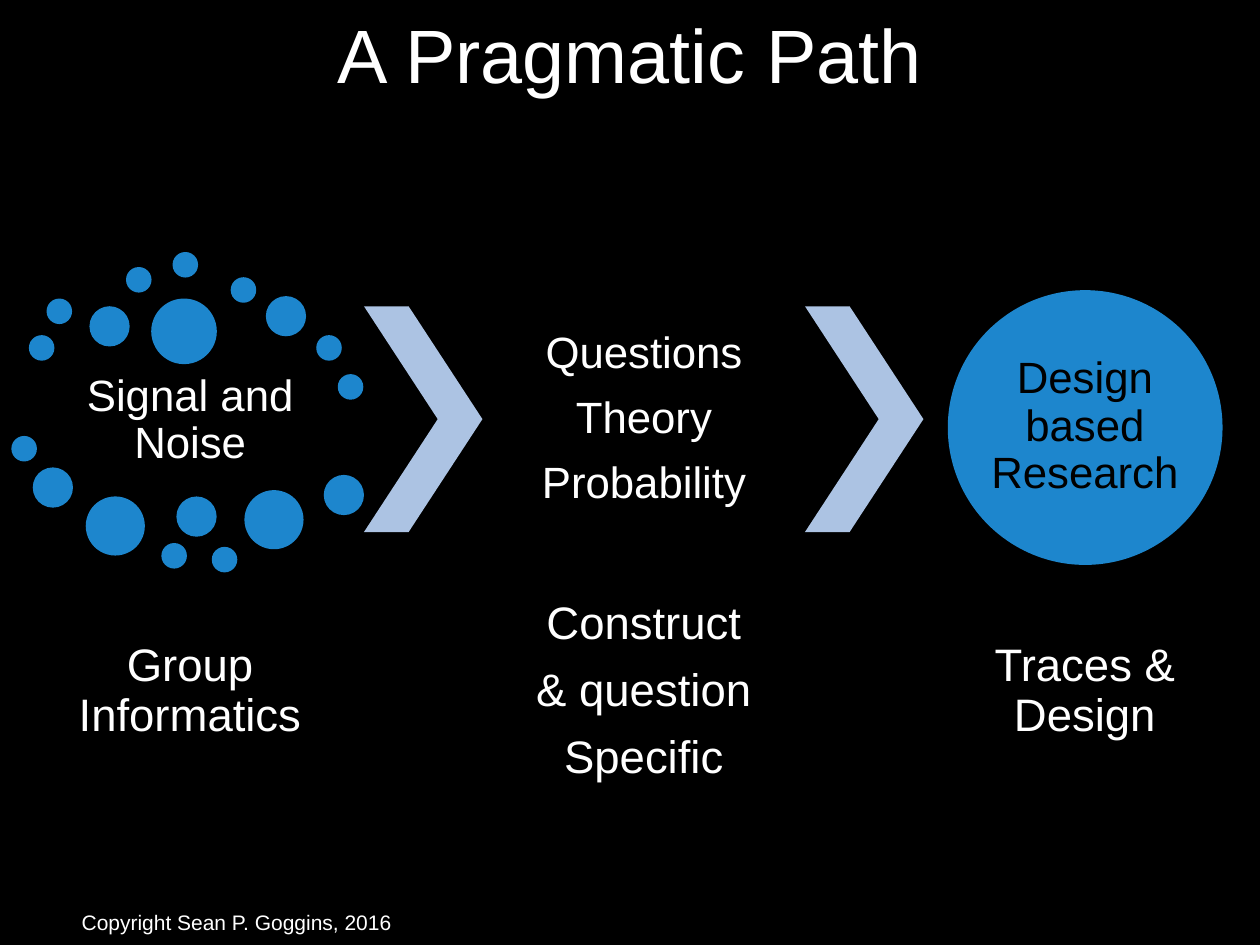
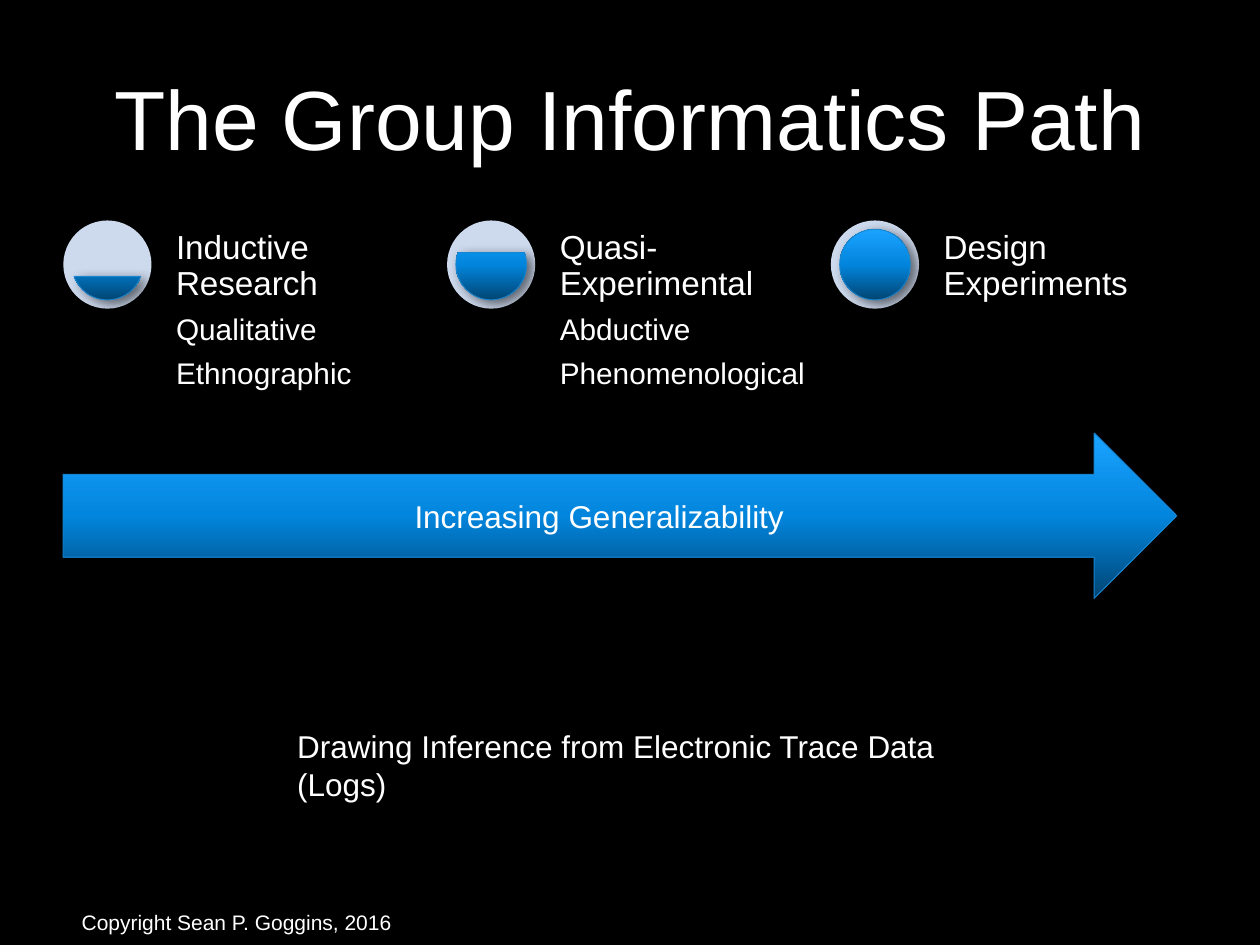
from copy import deepcopy
from math import asin, degrees

from lxml.etree import SubElement
from pptx import Presentation
from pptx.dml.color import RGBColor
from pptx.enum.shapes import MSO_SHAPE
from pptx.enum.text import MSO_ANCHOR, MSO_AUTO_SIZE, PP_ALIGN
from pptx.oxml.ns import qn
from pptx.util import Pt

rgb = RGBColor.from_string
BLACK, WHITE, BLUE = "000000", "FFFFFF", "1D86CD"
PALE_BLUE, PALE_DISC, ARROW_EDGE = "ACC3E3", "CDD9ED", "1884CD"
GRADIENT = [(0, "014573"), (0.5, "0285DD"), (1, "1AA3FF")]
SHADOW = {"blurRad": Pt(7), "dist": Pt(4), "dir": 35 * 60000, "algn": "tl", "rotWithShape": 0}
CENTER = {"alignment": PP_ALIGN.CENTER}
SPACED = {"line_spacing": 0.9}


def write(sp, lines, size, color=WHITE, para={}, anchor=MSO_ANCHOR.MIDDLE, inset=None):
    tf = sp.text_frame
    frame = {"word_wrap": True, "auto_size": MSO_AUTO_SIZE.NONE, "vertical_anchor": anchor}
    if inset is not None:
        frame.update({f"margin_{side}": Pt(inset) for side in ("left", "top", "right", "bottom")})
    for name, value in frame.items():
        setattr(tf, name, value)
    for i, line in enumerate(lines):
        p = tf.add_paragraph() if i else tf.paragraphs[0]
        for name, value in para.items():
            setattr(p, name, value)
        if "line_spacing" in para:
            p.space_after = Pt(round(size * 0.4, 1))
        r = p.add_run()
        r.text = line
        for name, value in {"name": "Arial", "size": Pt(size), "bold": False}.items():
            setattr(r.font, name, value)
        r.font.color.rgb = rgb(color)


def draw(s, kind, box, fill=None, line=None, shadow=False):
    sp = s.shapes.add_shape(kind, *map(Pt, box))
    sp.shadow.inherit = False
    if fill:
        sp.fill.solid()
        sp.fill.fore_color.rgb = rgb(fill)
    else:
        sp.fill.gradient()
        sp.fill.gradient_angle = 90
        stops = sp.element.spPr.find(qn("a:gradFill")).find(qn("a:gsLst"))
        stops.insert(1, deepcopy(stops[0]))
        for stop, (position, color) in zip(sp.fill.gradient_stops, GRADIENT):
            stop.position = position
            stop.color.rgb = rgb(color)
    if line:
        sp.line.color.rgb = rgb(line)
        sp.line.width = Pt(0.5)
    else:
        sp.line.fill.background()
    if shadow:
        effects = sp.element.spPr.find(qn("a:effectLst"))
        outer = SubElement(effects, qn("a:outerShdw"), {k: str(int(v)) if k != "algn" else v for k, v in SHADOW.items()})
        color = SubElement(outer, qn("a:srgbClr"), val=BLACK)
        SubElement(color, qn("a:alpha"), val="55000")
    return sp


prs = Presentation()
prs.slide_width, prs.slide_height = Pt(720), Pt(540)
fill = prs.slide_master.background.fill
fill.solid()
fill.fore_color.rgb = rgb(BLACK)

slides = []
for title, size, box in [
    ("A Pragmatic Path", 43.2, (54, 1.4, 612, 58.3)),
    ("The Group Informatics Path", 48, (36, 21.6, 648, 90)),
]:
    s = prs.slides.add_slide(prs.slide_layouts[5])
    sp = s.shapes.title
    for name, value in zip(("left", "top", "width", "height"), box):
        setattr(sp, name, Pt(value))
    write(sp, [title], size, para=CENTER)
    footer = s.shapes.add_textbox(*map(Pt, (39.6, 512.6, 228.2, 28.8)))
    write(footer, ["Copyright Sean P. Goggins, 2016"], 12)
    slides.append(s)

s = slides[0]
dots = {
    14.6: [(16.5, 191.5), (26.6, 170.6), (72, 152.6), (98.6, 144), (131.8, 158.4),
           (180.7, 191.5), (193, 213.8), (6.5, 249.1), (92.2, 310.3), (121, 312.5)],
    23: [(51.1, 175), (151.9, 169.2), (18.7, 267.1), (100.8, 283.7), (185, 271.4)],
    33.8: [(49, 283.7), (139.7, 280.1)],
    37.5: [(86.4, 170.6)],
}
for size, corners in dots.items():
    for x, y in corners:
        draw(s, MSO_SHAPE.OVAL, (x, y, size, size), BLUE)
for x in (208, 460):
    sp = draw(s, MSO_SHAPE.CHEVRON, (x, 175, 67.7, 129), PALE_BLUE, shadow=True)
    sp.adjustments[0] = 0.623
draw(s, MSO_SHAPE.OVAL, (541.6, 165.8, 157, 157), BLUE)

for box, lines, color in [
    ((16.5, 210.2, 184.3, 60.5), ["Signal and Noise"], WHITE),
    ((275.8, 175, 184.3, 129), ["Questions", "Theory", "Probability"], WHITE),
    ((564.5, 188.6, 110.9, 110.9), ["Design based Research"], BLACK),
]:
    sp = s.shapes.add_textbox(*map(Pt, box))
    write(sp, lines, 25, color, CENTER | SPACED, inset=0 if color == BLACK else 2)
for x, lines in [
    (16.5, ["Group Informatics"]),
    (275.8, ["Construct", "& question", "Specific"]),
    (527.8, ["Traces & Design"]),
]:
    sp = s.shapes.add_textbox(*map(Pt, (x, 338.4, 184.3, 113.8)))
    write(sp, lines, 26, para=CENTER | SPACED, inset=3)

s = slides[1]
stages = [
    ("Inductive Research", ["Qualitative", "Ethnographic"]),
    ("Quasi-Experimental", ["Abductive", "Phenomenological"]),
    ("Design Experiments", []),
]
for i, (stage, methods) in enumerate(stages):
    x = 36.2 + 219.3 * i
    draw(s, MSO_SHAPE.OVAL, (x, 126, 50.4, 50.4), PALE_DISC, shadow=True)
    level = draw(s, MSO_SHAPE.CHORD, (x + 5, 131, 40.4, 40.4), line=BLUE, shadow=True)
    start = degrees(asin(1 - 2 * (i + 1) / len(stages)))
    for k, angle in enumerate((start, 180 - start)):
        level.adjustments[k] = round(angle % 360 * 0.6, 3)
    sp = s.shapes.add_textbox(*map(Pt, (x + 60.8, 126, 148.3, 50.4)))
    write(sp, [stage], 19, para=SPACED, anchor=MSO_ANCHOR.BOTTOM, inset=3.6)
    if methods:
        sp = s.shapes.add_textbox(*map(Pt, (x + 60.8, 176.4, 148.3, 211)))
        write(sp, methods, 17, para=SPACED, anchor=MSO_ANCHOR.TOP, inset=3.6)

sp = draw(s, MSO_SHAPE.RIGHT_ARROW, (36, 247.5, 636.5, 94.5), line=ARROW_EDGE, shadow=True)
write(sp, ["Increasing Generalizability"], 18, para=CENTER)
sp = s.shapes.add_textbox(*map(Pt, (162.7, 411.8, 399.6, 28.8)))
write(sp, ["Drawing Inference from Electronic Trace Data (Logs)"], 18, anchor=MSO_ANCHOR.TOP)

prs.save("out.pptx")
